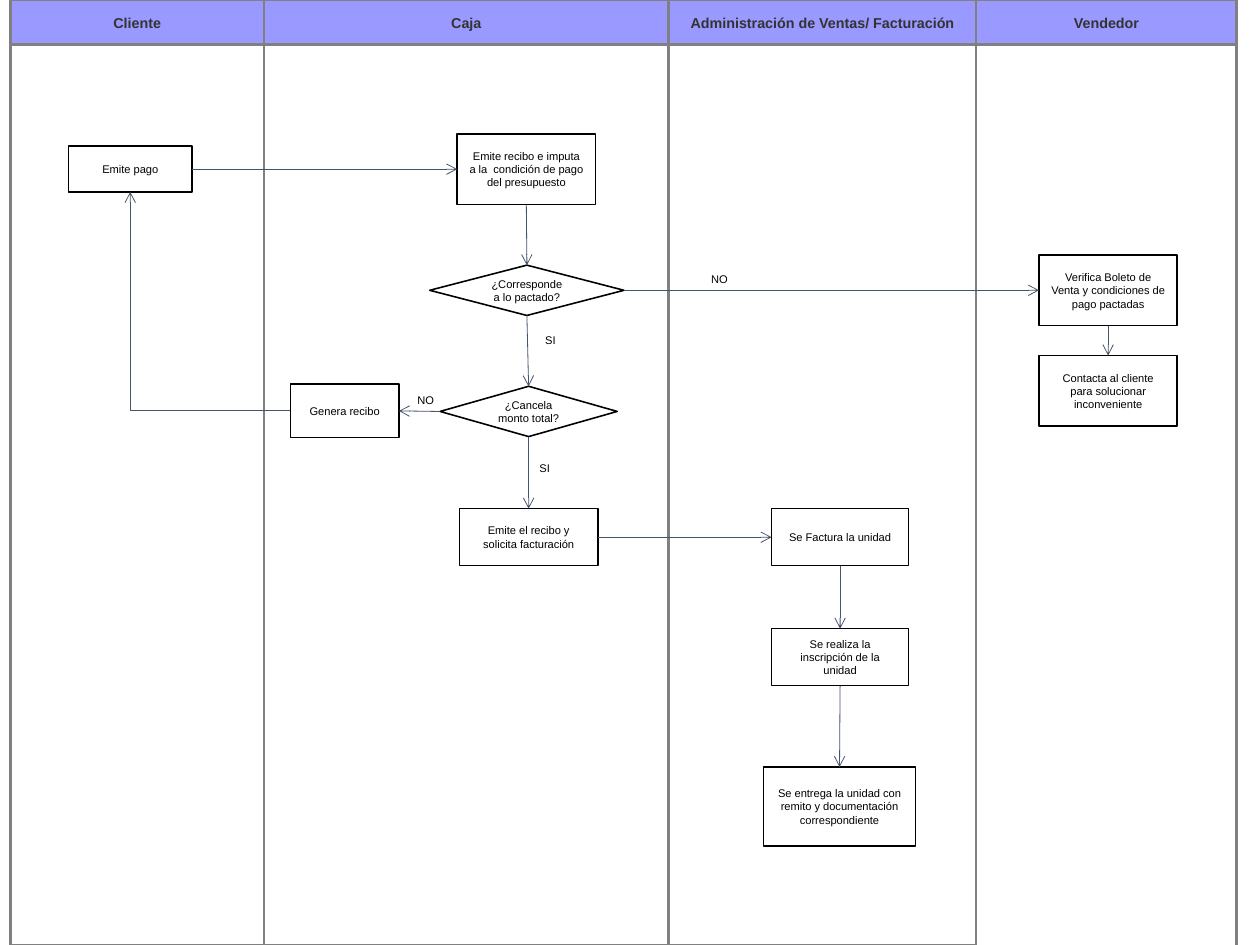
from pptx import Presentation
from pptx.dml.color import RGBColor
from pptx.enum.shapes import MSO_CONNECTOR, MSO_SHAPE
from pptx.enum.text import MSO_ANCHOR, PP_ALIGN
from pptx.oxml.ns import qn
from pptx.util import Cm, Inches, Pt
from lxml import etree

RECT, DIAMOND = MSO_SHAPE.RECTANGLE, MSO_SHAPE.DIAMOND
STRAIGHT, ELBOW = MSO_CONNECTOR.STRAIGHT, MSO_CONNECTOR.ELBOW
CENTER, MIDDLE, TOP_ANCHOR = PP_ALIGN.CENTER, MSO_ANCHOR.MIDDLE, MSO_ANCHOR.TOP
TOP, LEFT, BOTTOM, RIGHT = range(4)  # connection sites

LILAC = RGBColor(0x99, 0x99, 0xFF)
GRAY = RGBColor(0x80, 0x80, 0x80)
DARK = RGBColor(0x33, 0x33, 0x33)
BLACK = RGBColor(0, 0, 0)
WHITE = RGBColor(0xFF, 0xFF, 0xFF)
SLATE = RGBColor(0x44, 0x54, 0x6A)

SLIDE_SIZE = Cm(28), Cm(21)
LANE_HEIGHT, HEADER_HEIGHT = 8.27, 0.39
HEADER_FONT = {"name": "Arial", "size": Pt(9), "bold": True}
STEP_FONT = {"name": "Arial", "size": Pt(7), "bold": False}

# Lanes: name, left, right, top of the body
LANES = [
    ("Administración de Ventas/ Facturación", 5.85, 8.54, 0),
    ("Caja", 2.31, 5.85, 0),
    ("Cliente", 0.09, 2.31, 0),
    ("Vendedor", 8.54, 10.82, 0.02),
]

# Steps: key, kind, (left, top, width, height), text
STEPS = [
    ("pago", RECT, (0.6, 1.28, 1.08, 0.4), "Emite pago"),
    ("imputa", RECT, (4, 1.17, 1.21, 0.62),
     "Emite recibo e imputa a la  condición de pago del presupuesto"),
    ("pactado", DIAMOND, (3.76, 2.32, 1.7, 0.44), "¿Corresponde a lo pactado?"),
    ("verifica", RECT, (9.09, 2.23, 1.21, 0.62),
     "Verifica Boleto de Venta y condiciones de pago pactadas"),
    ("contacta", RECT, (9.09, 3.11, 1.21, 0.62),
     "Contacta al cliente para solucionar inconveniente"),
    ("total", DIAMOND, (3.85, 3.38, 1.55, 0.44), "¿Cancela monto total?"),
    ("genera", RECT, (2.54, 3.36, 0.95, 0.47), "Genera recibo"),
    ("solicita", RECT, (4.02, 4.45, 1.21, 0.5),
     "Emite el recibo y solicita facturación"),
    ("factura", RECT, (6.75, 4.45, 1.2, 0.5), "Se Factura la unidad"),
    ("inscribe", RECT, (6.75, 5.5, 1.2, 0.5),
     "Se realiza la inscripción de la unidad"),
    ("entrega", RECT, (6.68, 6.71, 1.33, 0.69),
     "Se entrega la unidad con remito y documentación correspondiente"),
]

# Flows: from step, its site, to step, its site
FLOWS = [
    ("pago", RIGHT, "imputa", LEFT),
    ("imputa", BOTTOM, "pactado", TOP),
    ("pactado", RIGHT, "verifica", LEFT),
    ("verifica", BOTTOM, "contacta", TOP),
    ("pactado", BOTTOM, "total", TOP),
    ("total", LEFT, "genera", RIGHT),
    ("genera", LEFT, "pago", BOTTOM),
    ("total", BOTTOM, "solicita", TOP),
    ("solicita", RIGHT, "factura", LEFT),
    ("factura", BOTTOM, "inscribe", TOP),
    ("inscribe", BOTTOM, "entrega", TOP),
]

# Answers: text, left, top, width
ANSWERS = [
    ("NO", 6.08, 2.33, 0.43),
    ("SI", 4.67, 2.87, 0.29),
    ("NO", 3.51, 3.39, 0.43),
    ("SI", 4.62, 3.99, 0.29),
]


def write(sp, text, font, color, anchor=MIDDLE):
    tf = sp.text_frame
    tf.word_wrap = True
    tf.vertical_anchor = anchor
    p = tf.paragraphs[0]
    p.alignment = CENTER
    r = p.add_run()
    r.text = text
    for name, value in font.items():
        setattr(r.font, name, value)
    r.font.color.rgb = color


def add_box(s, kind, box, fill, line, width):
    sp = s.shapes.add_shape(kind, *map(Inches, box))
    sp.shadow.inherit = False
    if fill is None:
        sp.fill.background()
    else:
        sp.fill.solid()
        sp.fill.fore_color.rgb = fill
    sp.line.color.rgb = line
    sp.line.width = Pt(width)
    return sp


def add_lane(s, name, left, right, top):
    width = right - left
    add_box(s, RECT, (left, top, width, LANE_HEIGHT), None, GRAY, 1.7)
    sp = add_box(s, RECT, (left, 0, width, HEADER_HEIGHT), LILAC, GRAY, 1.7)
    write(sp, name, HEADER_FONT, DARK)


def add_step(s, kind, box, text):
    sp = add_box(s, kind, box, WHITE, BLACK, 1)
    write(sp, text, STEP_FONT, BLACK)
    return sp


def add_flow(s, start, start_site, end, end_site):
    turns = start_site % 2 != end_site % 2
    cxn = s.shapes.add_connector(ELBOW if turns else STRAIGHT, 0, 0, 0, 0)
    cxn.begin_connect(start, start_site)
    cxn.end_connect(end, end_site)
    cxn.line.color.rgb = SLATE
    cxn.line.width = Pt(0.5)
    sp_pr = cxn._element.spPr
    if turns:  # a single corner
        sp_pr.find(qn("a:prstGeom")).set("prst", "bentConnector2")
    etree.SubElement(sp_pr.find(qn("a:ln")), qn("a:tailEnd"), type="arrow")
    etree.SubElement(sp_pr, qn("a:effectLst"))


def add_answer(s, text, left, top, width):
    sp = s.shapes.add_textbox(*map(Inches, (left, top, width, 0.2)))
    write(sp, text, STEP_FONT, BLACK, TOP_ANCHOR)


def main():
    prs = Presentation()
    prs.slide_width, prs.slide_height = SLIDE_SIZE
    s = prs.slides.add_slide(prs.slide_layouts[6])

    # Swimlanes
    for lane in LANES:
        add_lane(s, *lane)

    # Steps and decisions
    steps = {key: add_step(s, *step) for key, *step in STEPS}

    # Arrows and answers
    for start, start_site, end, end_site in FLOWS:
        add_flow(s, steps[start], start_site, steps[end], end_site)
    for answer in ANSWERS:
        add_answer(s, *answer)

    prs.save("out.pptx")


main()
